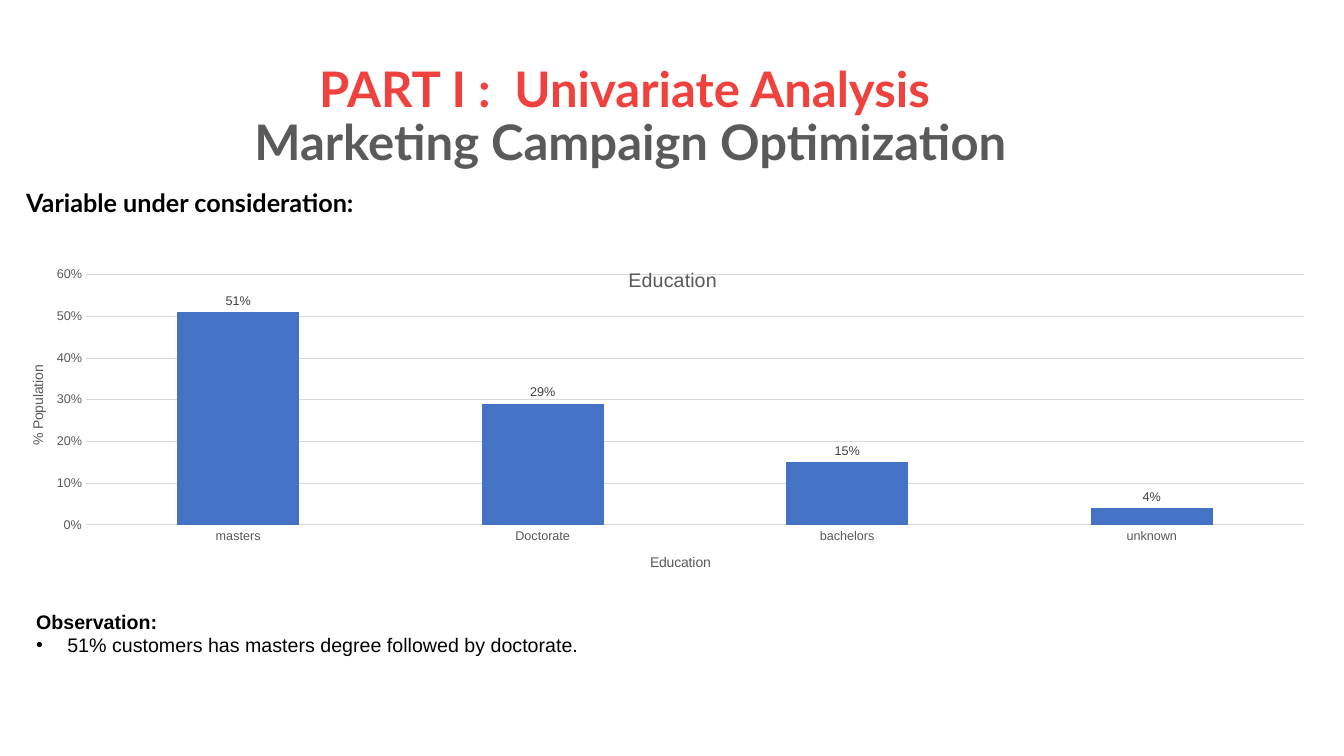
"""Build the univariate analysis slide about customer education."""
from dataclasses import dataclass

from pptx import Presentation, util as u
from pptx.chart import data as chart_data
from pptx.dml.color import RGBColor
from pptx.enum import chart as chart_enum, text
from pptx.oxml import parse_xml
from pptx.oxml.ns import nsdecls, qn

COLORS = {
    "red": "EF413D",
    "title_gray": "5A5A5A",
    "black": "000000",
    "axis_gray": "595959",
    "label_gray": "404040",
    "grid": "D9D9D9",
    "bar": "4472C4",
}
EDUCATION_SHARES = {"masters": 0.51, "Doctorate": 0.29, "bachelors": 0.15, "unknown": 0.04}
PLOT_LAYOUT = {"x": 0.046, "y": 0.067, "w": 0.938, "h": 0.739}
BULLET_INDENT = u.Inches(0.31)


@dataclass(frozen=True)
class Line:
    content: str
    color: str = "black"
    bold: bool = True
    bullet: bool = False


@dataclass(frozen=True)
class TextBlock:
    box: tuple[float, float, float, float]
    lines: tuple[Line, ...]
    font: str
    size: float
    left_inset: float = 0.1
    spacing: float = 1.0
    space_before: float = 0
    anchor: text.MSO_ANCHOR = text.MSO_ANCHOR.TOP
    align: text.PP_ALIGN = text.PP_ALIGN.LEFT


TEXT_BLOCKS = (
    TextBlock(
        (0.85, 0.53, 10.81, 1.22),
        (
            Line("PART I :  Univariate Analysis ", "red"),
            Line("Marketing Campaign Optimization", "title_gray"),
        ),
        "Lato", 35, spacing=0.9,
        anchor=text.MSO_ANCHOR.BOTTOM, align=text.PP_ALIGN.CENTER,
    ),
    TextBlock(
        (0.1, 1.84, 12.77, 0.5),
        (Line("Variable under consideration:"),),
        "Lato", 18, left_inset=0.16, spacing=0.9, space_before=10,
    ),
    TextBlock(
        (0.26, 6, 5.84, 0.57),
        (
            Line("Observation:"),
            Line("51% customers has masters degree followed by doctorate.", bold=False, bullet=True),
        ),
        "Arial", 14,
    ),
)


def style_font(font, name: str, size: float, color: str, bold: bool = False) -> None:
    font.name = name
    font.size = u.Pt(size)
    font.bold = bold
    font.color.rgb = RGBColor.from_string(COLORS[color])


def add_bullet(paragraph) -> None:
    properties = paragraph._p.get_or_add_pPr()
    properties.set("marL", str(BULLET_INDENT))
    properties.set("indent", str(-BULLET_INDENT))
    properties.append(parse_xml(f'<a:buFont {nsdecls("a")} typeface="Arial"/>'))
    properties.append(parse_xml(f'<a:buChar {nsdecls("a")} char="•"/>'))


def add_text_block(slide, block: TextBlock) -> None:
    frame = slide.shapes.add_textbox(*map(u.Inches, block.box)).text_frame
    frame.word_wrap = True
    frame.margin_left = u.Inches(block.left_inset)
    frame.vertical_anchor = block.anchor
    for index, line in enumerate(block.lines):
        paragraph = frame.add_paragraph() if index else frame.paragraphs[0]
        paragraph.alignment = block.align
        paragraph.line_spacing = block.spacing
        paragraph.space_before = u.Pt(block.space_before)
        if line.bullet:
            add_bullet(paragraph)
        style_font(paragraph.font, block.font, block.size, line.color, line.bold)
        paragraph.add_run().text = line.content


def set_title(titled, caption: str, size: float) -> None:
    frame = titled.text_frame
    frame.text = caption
    style_font(frame.paragraphs[0].font, "Arial", size, "axis_gray")


def style_axis(axis, caption: str) -> None:
    set_title(axis.axis_title, caption, 10)
    axis.major_tick_mark = chart_enum.XL_TICK_MARK.NONE
    axis.minor_tick_mark = chart_enum.XL_TICK_MARK.NONE
    axis.format.line.fill.background()
    style_font(axis.tick_labels.font, "Arial", 9, "axis_gray")


def place_plot(chart) -> None:
    plot_area = chart.element.find(f'{qn("c:chart")}/{qn("c:plotArea")}')
    for layout in plot_area.findall(qn("c:layout")):
        plot_area.remove(layout)
    modes = "".join(f'<c:{side}Mode val="edge"/>' for side in "xy")
    values = "".join(f'<c:{key} val="{value}"/>' for key, value in PLOT_LAYOUT.items())
    plot_area.insert(0, parse_xml(
        f'<c:layout {nsdecls("c")}><c:manualLayout><c:layoutTarget val="inner"/>'
        f'{modes}{values}</c:manualLayout></c:layout>'
    ))


def add_education_chart(slide) -> None:
    shares = chart_data.CategoryChartData(number_format="0%")
    shares.categories = list(EDUCATION_SHARES)
    shares.add_series("Series 1", list(EDUCATION_SHARES.values()))
    box = map(u.Inches, (0.26, 2.5, 12.88, 3.36))
    chart = slide.shapes.add_chart(chart_enum.XL_CHART_TYPE.COLUMN_CLUSTERED, *box, shares).chart
    style_font(chart.font, "Arial", 10, "black")
    chart.has_legend = False
    set_title(chart.chart_title, "Education ", 14)

    style_axis(chart.category_axis, "Education")
    value_axis = chart.value_axis
    style_axis(value_axis, "% Population")
    value_axis.minimum_scale, value_axis.maximum_scale, value_axis.major_unit = 0, 0.6, 0.1
    value_axis.tick_labels.number_format = "0%"
    value_axis.tick_labels.number_format_is_linked = False
    gridline = value_axis.major_gridlines.format.line
    gridline.color.rgb = RGBColor.from_string(COLORS["grid"])
    gridline.width = u.Pt(0.75)

    plot = chart.plots[0]
    plot.gap_width = 150
    plot.vary_by_categories = False
    bars = plot.series[0]
    bars.format.fill.solid()
    bars.format.fill.fore_color.rgb = RGBColor.from_string(COLORS["bar"])
    labels = bars.data_labels
    labels.show_value = True
    labels.number_format = "0%"
    labels.number_format_is_linked = False
    labels.position = chart_enum.XL_LABEL_POSITION.OUTSIDE_END
    style_font(labels.font, "Arial", 9, "label_gray")
    place_plot(chart)


def main() -> None:
    presentation = Presentation()
    presentation.slide_width = u.Inches(13.33)
    presentation.slide_height = u.Inches(7.5)
    slide = presentation.slides.add_slide(presentation.slide_layouts[6])
    for block in TEXT_BLOCKS:
        add_text_block(slide, block)
    add_education_chart(slide)
    presentation.save("out.pptx")


if __name__ == "__main__":
    main()
